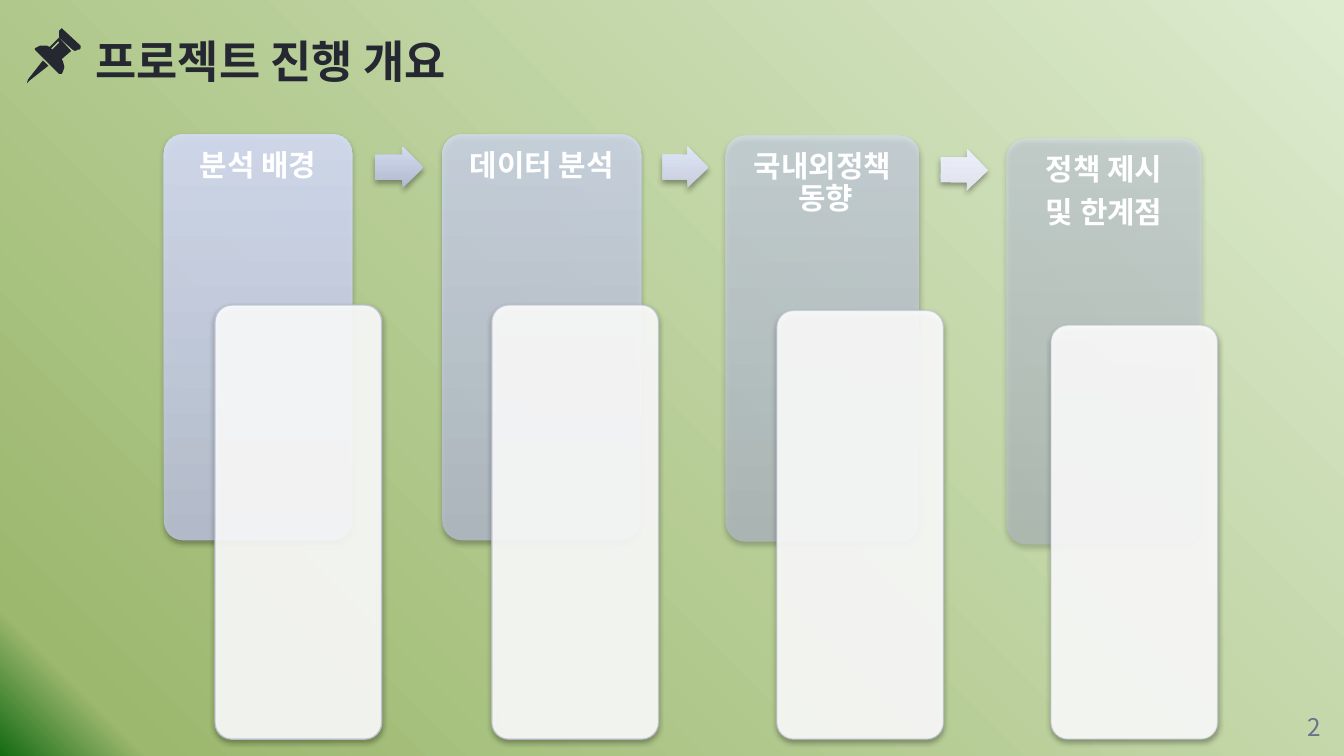
from dataclasses import dataclass
from typing import Optional

from lxml.etree import SubElement
from pptx import Presentation
from pptx.dml.color import RGBColor
from pptx.enum.shapes import MSO_SHAPE
from pptx.enum.text import MSO_ANCHOR, MSO_AUTO_SIZE, PP_ALIGN
from pptx.oxml.ns import qn
from pptx.util import Inches, Pt

FONT = "Noto Sans CJK KR"
INK = "252831"
WHITE = "FFFFFF"
PANEL_WIDTH = 1.24
PANEL_BOTTOM = 5.5
CARD_HEIGHT = 3.02


@dataclass(frozen=True)
class Arrow:
    left: float
    top: float
    width: float
    rotation: float
    dark: str
    light: str


@dataclass(frozen=True)
class Stage:
    heading: str
    left: float
    top: float
    width: float
    panel_left: float
    panel_top: float
    opacity: int
    arrow: Optional[Arrow] = None


STAGES = [
    Stage("분석 배경", 1.22, 1, 1.4, 1.6, 2.27, 90,
          Arrow(2.79, 1.09, 0.36, 0, "B1B9CD", "D3DBF1")),
    Stage("데이터 분석", 3.29, 1, 1.48, 3.66, 2.27, 77,
          Arrow(4.93, 1.09, 0.34, 0.3, "C9CEDD", "DEE5F6")),
    Stage("국내외정책\v 동향", 5.4, 1.01, 1.44, 5.78, 2.31, 63,
          Arrow(7, 1.11, 0.35, 0.8, "E0E3EC", "ECEFFA")),
    Stage("정책 제시\n및 한계점", 7.49, 1.03, 1.45, 7.82, 2.42, 50),
]

PIN_NEEDLE = [[(32, 45), (21, 59), (20, 62), (22, 60), (36, 49)]]
PIN_HEAD = [[(46, 21), (45, 22), (44, 23), (44, 28), (54, 37), (56, 38),
             (58, 37), (59, 37), (60, 36), (60, 34), (47, 22)]]
PIN_BODY = [
    [(44, 31), (44, 32), (39, 37), (38, 36), (43, 31)],
    [(44, 28), (37, 35), (35, 34), (30, 34), (28, 35), (26, 36), (26, 37),
     (44, 55), (46, 55), (47, 53), (48, 50), (47, 46), (46, 44), (53, 38)],
]


def color(value: str) -> RGBColor:
    return RGBColor.from_string(value)


def set_opacity(color_node, percent: int) -> None:
    SubElement(color_node, qn("a:alpha"), val=str(percent * 1000))


def set_gradient(fill, owner, angle: int, stops, opacity: int = 100) -> None:
    fill.gradient()
    gradient = next(owner.iter(qn("a:gradFill")))
    for child in list(gradient):
        gradient.remove(child)
    stop_list = SubElement(gradient, qn("a:gsLst"))
    for position, value in stops:
        stop = SubElement(stop_list, qn("a:gs"), pos=str(position * 1000))
        color_node = SubElement(stop, qn("a:srgbClr"), val=value)
        if opacity < 100:
            set_opacity(color_node, opacity)
    SubElement(gradient, qn("a:lin"), ang=str(angle * 60000), scaled="0")


def add_preset(page, kind, left, top, width, height, adjustments):
    shape = page.shapes.add_shape(
        kind, Inches(left), Inches(top), Inches(width), Inches(height))
    for index, value in enumerate(adjustments):
        shape.adjustments[index] = value
    shape.line.fill.background()
    shape.shadow.inherit = False
    effects = shape.element.spPr.find(qn("a:effectLst"))
    shadow = SubElement(effects, qn("a:outerShdw"), blurRad=str(Pt(3.1)),
                        dist=str(Pt(1.8)), dir="5400000", rotWithShape="0")
    set_opacity(SubElement(shadow, qn("a:srgbClr"), val="000000"), 35)
    return shape


def write_text(box, text: str, size: int, value: str, bold: bool = False,
               align=PP_ALIGN.CENTER, anchor=MSO_ANCHOR.TOP,
               insets=(0, 0, 0, 0)) -> None:
    frame = box.text_frame
    frame.text = text
    frame.word_wrap = True
    frame.auto_size = MSO_AUTO_SIZE.NONE
    frame.vertical_anchor = anchor
    (frame.margin_left, frame.margin_top,
     frame.margin_right, frame.margin_bottom) = map(Inches, insets)
    for para in frame.paragraphs:
        para.alignment = align
        para.font.size = Pt(size)
        para.font.bold = bold
        para.font.color.rgb = color(value)
        para.font.name = FONT
    for properties in box.element.iter(qn("a:defRPr")):
        SubElement(properties, qn("a:ea"), typeface=FONT)


def add_label(page, left, top, width, height):
    return page.shapes.add_textbox(
        Inches(left), Inches(top), Inches(width), Inches(height))


def draw_stage(page, stage: Stage) -> None:
    card = add_preset(page, MSO_SHAPE.ROUNDED_RECTANGLE, stage.left, stage.top,
                      stage.width, CARD_HEIGHT, [0.1])
    set_gradient(card.fill, card.element, 270,
                 [(0, "BAC1D6"), (100, "D6DEF6")], stage.opacity)

    heading = add_label(page, stage.left, stage.top, stage.width, 0.5)
    write_text(heading, stage.heading, 16, WHITE, bold=True,
               insets=(0.12, 0.12, 0.12, 0.07))
    for para in heading.text_frame.paragraphs:
        para.line_spacing = 0.9
        para.space_after = Pt(6)

    panel = add_preset(page, MSO_SHAPE.ROUNDED_RECTANGLE, stage.panel_left,
                       stage.panel_top, PANEL_WIDTH,
                       PANEL_BOTTOM - stage.panel_top, [0.1])
    panel.fill.solid()
    panel.fill.fore_color.rgb = color(WHITE)
    panel.line.color.rgb = color("BDC3D3")
    panel.line.width = Pt(0.75)
    fill_color, line_color = list(panel.element.spPr.iter(qn("a:srgbClr")))[:2]
    set_opacity(fill_color, 90)
    set_opacity(line_color, stage.opacity)

    if stage.arrow:
        draw_arrow(page, stage.arrow)


def draw_arrow(page, arrow: Arrow) -> None:
    shape = add_preset(page, MSO_SHAPE.RIGHT_ARROW, arrow.left, arrow.top,
                       arrow.width, 0.31, [0.6, 0.5])
    shape.rotation = arrow.rotation
    set_gradient(shape.fill, shape.element, 270,
                 [(0, arrow.dark), (100, arrow.light)])


def draw_outline(page, contours) -> None:
    first, *others = contours
    builder = page.shapes.build_freeform(*first[0], scale=Inches(0.01))
    builder.add_line_segments(first[1:])
    for contour in others:
        builder.move_to(*contour[0])
        builder.add_line_segments(contour[1:])
    shape = builder.convert_to_shape()
    shape.fill.solid()
    shape.fill.fore_color.rgb = color(INK)
    shape.line.fill.background()
    shape.shadow.inherit = False


def main() -> None:
    deck = Presentation()
    deck.slide_width = Inches(10)
    deck.slide_height = deck.slide_width * 9 // 16
    page = deck.slides.add_slide(deck.slide_layouts[5])
    set_gradient(page.background.fill, page.element, 135,
                 [(0, "DDEBCF"), (93, "9CB86E"), (100, "156B13")])

    title = page.shapes.title
    title.left, title.top = Inches(0.71), Inches(0.1)
    title.width, title.height = Inches(3.92), Inches(0.55)
    write_text(title, "프로젝트 진행 개요", 24, INK, bold=True,
               align=PP_ALIGN.LEFT, anchor=MSO_ANCHOR.BOTTOM)

    number = add_label(page, 9.55, 5.18, 0.45, 0.45)
    write_text(number, "2", 13, "68728D", anchor=MSO_ANCHOR.MIDDLE)

    for stage in STAGES:
        draw_stage(page, stage)
    for contours in (PIN_NEEDLE, PIN_HEAD, PIN_BODY):
        draw_outline(page, contours)

    deck.save("out.pptx")


if __name__ == "__main__":
    main()
